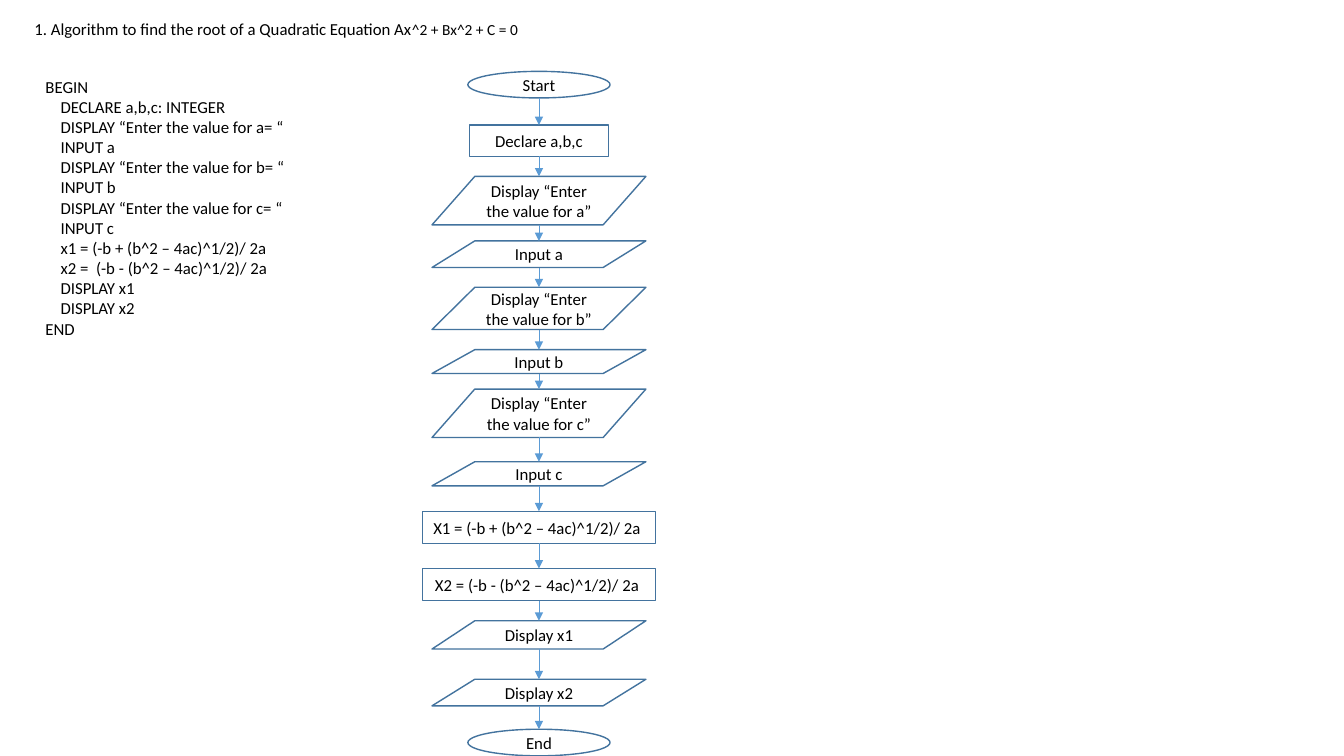
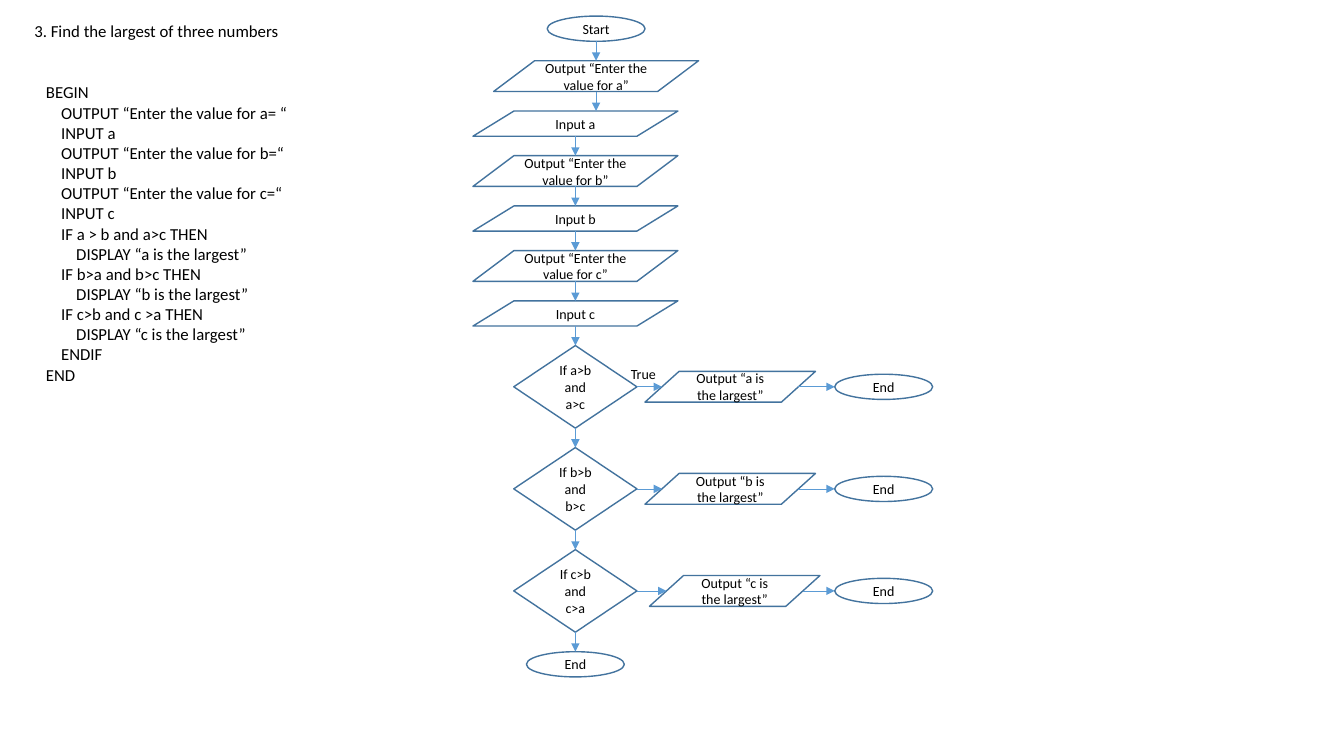
"""Build two slides that pair pseudocode with its flowchart."""
import pptx
import pptx.dml.color
import pptx.enum.shapes
import pptx.enum.text
import pptx.oxml.ns
import pptx.util
from lxml import etree

Pt = pptx.util.Pt
SHAPE = pptx.enum.shapes.MSO_SHAPE
ALIGN = pptx.enum.text.PP_ALIGN
ANCHOR = pptx.enum.text.MSO_ANCHOR
FIT = pptx.enum.text.MSO_AUTO_SIZE
qn = pptx.oxml.ns.qn


class Flowchart:
    COLOURS = {"text": "000000", "fill": "FFFFFF", "outline": "43739E", "arrow": "5B9BD5"}
    FONT = "Calibri"
    KINDS = {
        "terminal": SHAPE.OVAL,
        "process": SHAPE.RECTANGLE,
        "data": SHAPE.FLOWCHART_DATA,
        "decision": SHAPE.FLOWCHART_DECISION,
    }
    SLANT = 0.1
    INDENT = 10.8
    LINE = 14.5

    def __init__(self):
        self.deck = pptx.Presentation()
        self.deck.slide_width, self.deck.slide_height = Pt(960), Pt(540)
        self.page = None

    def colour(self, name):
        return pptx.dml.color.RGBColor.from_string(self.COLOURS[name])

    def apply(self, target, values):
        for name, value in values.items():
            setattr(target, name, value)

    def place(self, box, left, top, width, height):
        self.apply(box, {"left": Pt(left), "top": Pt(top), "width": Pt(width), "height": Pt(height)})

    def add_span(self, para, text, size):
        span = para.add_run()
        span.text = text
        self.apply(span.font, {"name": self.FONT, "size": Pt(size), "bold": False})
        span.font.color.rgb = self.colour("text")

    def new_page(self, top, spans):
        self.page = self.deck.slides.add_slide(self.deck.slide_layouts[5])
        box = self.page.shapes.title
        self.place(box, 17.3, top, 368, 21.6)
        self.apply(box.text_frame, {"word_wrap": True, "auto_size": FIT.NONE,
                                    "vertical_anchor": ANCHOR.TOP})
        para = box.text_frame.paragraphs[0]
        para.alignment = ALIGN.LEFT
        for text, size in spans:
            self.add_span(para, text, size)

    def text(self, left, top, width, lines, size=12):
        height = len(lines) * self.LINE + 7.2
        box = self.page.shapes.add_textbox(Pt(left), Pt(top), Pt(width), Pt(height))
        self.apply(box.text_frame, {"word_wrap": True, "auto_size": FIT.SHAPE_TO_FIT_TEXT})
        for index, (level, line) in enumerate(lines):
            para = box.text_frame.add_paragraph() if index else box.text_frame.paragraphs[0]
            if level:
                para._p.get_or_add_pPr().set("marL", str(Pt(level * self.INDENT)))
            self.add_span(para, line, size)

    def step(self, kind, text, centre, top, width, height, size):
        box = self.page.shapes.add_shape(
            self.KINDS[kind], Pt(centre - width / 2), Pt(top), Pt(width), Pt(height))
        box.shadow.inherit = False
        box.fill.solid()
        box.fill.fore_color.rgb = self.colour("fill")
        box.line.color.rgb = self.colour("outline")
        box.line.width = Pt(1)
        self.apply(box.text_frame, {"word_wrap": True, "vertical_anchor": ANCHOR.MIDDLE})
        para = box.text_frame.paragraphs[0]
        para.alignment = ALIGN.CENTER
        self.add_span(para, text, size)
        return box

    def arrow(self, start, end):
        line = self.page.shapes.add_connector(
            pptx.enum.shapes.MSO_CONNECTOR.STRAIGHT, *map(int, start + end))
        line.line.color.rgb = self.colour("arrow")
        line.line.width = Pt(0.5)
        properties = line._element.spPr
        etree.SubElement(properties.find(qn("a:ln")), qn("a:tailEnd"), type="triangle")
        etree.SubElement(properties, qn("a:effectLst"))

    def down(self, source, target):
        centre = source.left + source.width / 2
        self.arrow((centre, source.top + source.height), (centre, target.top))

    def across(self, source, target):
        def inset(box):
            slanted = box.auto_shape_type == SHAPE.FLOWCHART_DATA
            return box.width * self.SLANT if slanted else 0

        middle = source.top + source.height / 2
        self.arrow((source.left + source.width - inset(source), middle),
                   (target.left + inset(target), middle))

    def column(self, steps, top, size):
        boxes = []
        for kind, text, centre, width, height, gap in steps:
            boxes.append(self.step(kind, text, centre, top, width, height, size))
            top += height + gap
        for source, target in zip(boxes, boxes[1:]):
            self.down(source, target)
        return boxes


def quadratic_page(chart):
    chart.new_page(10.1, [("1. Algorithm to find the root of a Quadratic Equation Ax", 12),
                          ("^2 + Bx^2 + C = 0", 11)])
    code = ["DECLARE a,b,c: INTEGER"]
    for name in "abc":
        code += [f"DISPLAY “Enter the value for {name}= “", f"INPUT {name}"]
    code += ["x1 = (-b + (b^2 – 4ac)^1/2)/ 2a", "x2 =  (-b - (b^2 – 4ac)^1/2)/ 2a",
             "DISPLAY x1", "DISPLAY x2"]
    chart.text(25.4, 51, 213, [(0, "BEGIN"), *((1, line) for line in code), (0, "END")])

    steps = [
        ("terminal", "Start", 101.6, 19, 19.3),
        ("process", "Declare a,b,c", 99.6, 22.3, 14.4),
        ("data", "Display “Enter the value for a”", 152.8, 34.6, 11.5),
        ("data", "Input a", 152.8, 19, 14.1),
        ("data", "Display “Enter the value for b”", 152.8, 30.2, 14.4),
        ("data", "Input b", 152.8, 17, 11.1),
        ("data", "Display “Enter the value for c”", 152.8, 34.6, 17.3),
        ("data", "Input c", 152.8, 17.2, 18.2),
        ("process", "X1 = (-b + (b^2 – 4ac)^1/2)/ 2a ", 166.4, 23, 17.9),
        ("process", "X2 = (-b - (b^2 – 4ac)^1/2)/ 2a ", 166.4, 23, 14.3),
        ("data", "Display x1", 152.8, 20.2, 21.6),
        ("data", "Display x2", 152.8, 19, 16.7),
        ("terminal", "End", 101.6, 19, 0),
    ]
    chart.column([(kind, text, 385, *sizes) for kind, text, *sizes in steps], 51, 12)


def largest_page(chart):
    chart.new_page(11.5, [("3. Find the largest of three numbers", 12)])
    code = [(0, "BEGIN")]
    for name, ending in zip("abc", ("= “", "=“", "=“")):
        code += [(1, f"OUTPUT “Enter the value for {name}{ending}"), (1, f"INPUT {name}")]
    for name, test in zip("abc", ("a > b and a>c", "b>a and b>c", "c>b and c >a")):
        code += [(1, f"IF {test} THEN"), (2, f"DISPLAY “{name} is the largest”")]
    chart.text(25.8, 55.1, 213, code + [(1, "ENDIF"), (0, "END")])

    gap, main_centre, offset_centre = 13.9, 411, 425.8
    steps = [("terminal", "Start", offset_centre, 70, 18, gap)]
    for name in "abc":
        centre = offset_centre if name == "a" else main_centre
        steps += [("data", f"Output “Enter the value for {name}”", centre, 146.4, 22, gap),
                  ("data", f"Input {name}", main_centre, 146.4, 18, gap)]
    for test in ("a>b and a>c", "b>b and b>c", "c>b and c>a"):
        steps.append(("decision", f"If {test}", main_centre, 88, 59, gap))
    steps.append(("terminal", "End", main_centre, 70, 18, 0))
    decisions = chart.column(steps, 11.5, 10)[-4:-1]

    for name, centre, decision in zip("abc", (521.6, 521.6, 524.8), decisions):
        middle = (decision.top + decision.height / 2) / Pt(1)
        output = chart.step("data", f"Output “{name} is the largest”",
                            centre, middle - 11, 121.8, 22, 10)
        end = chart.step("terminal", "End", 631.2, middle - 9, 70, 18, 10)
        chart.across(decision, output)
        chart.across(output, end)
    chart.text(443.5, 257.8, 34, [(0, "True")], 10)


def main():
    chart = Flowchart()
    quadratic_page(chart)
    largest_page(chart)
    chart.deck.save("out.pptx")


if __name__ == "__main__":
    main()
